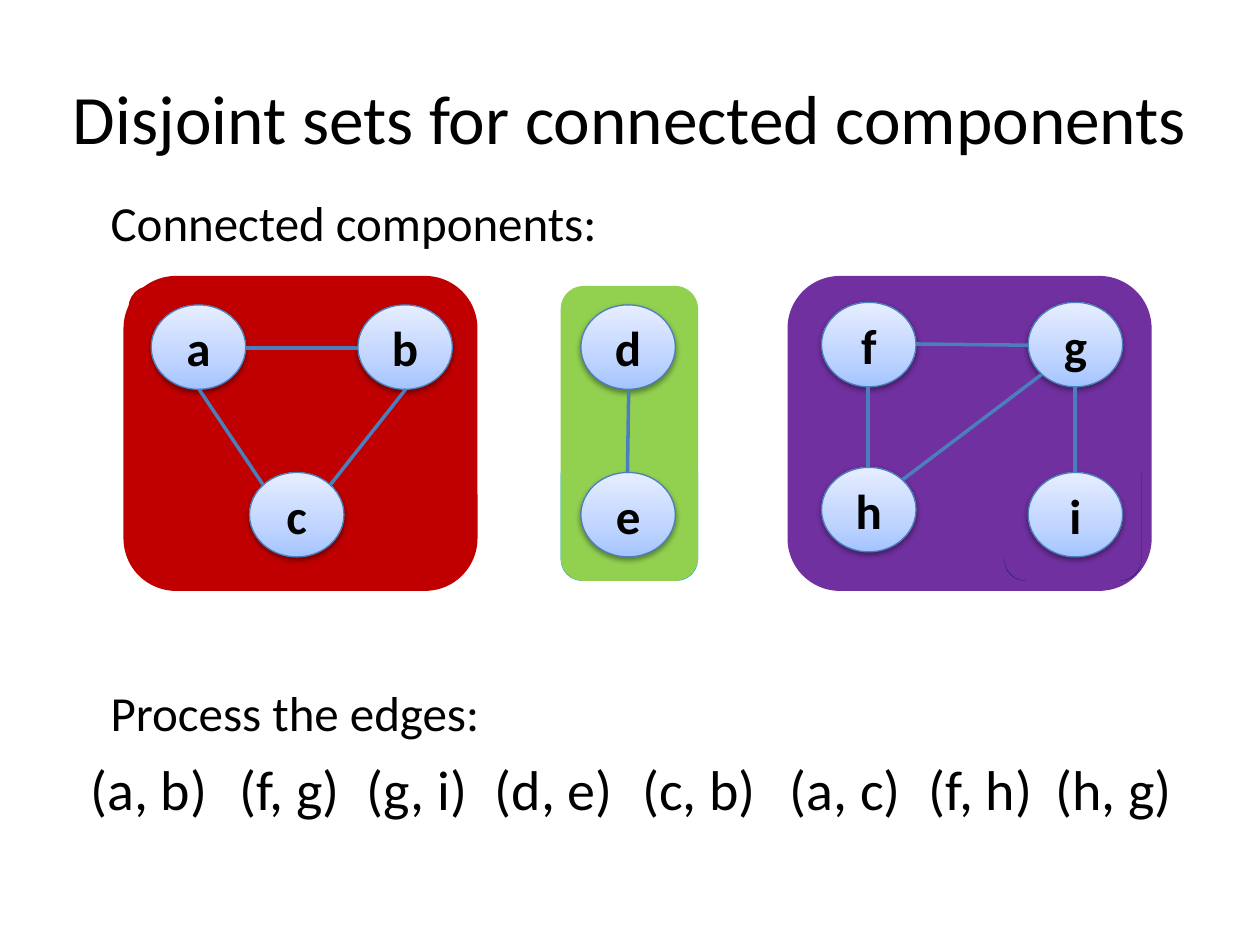
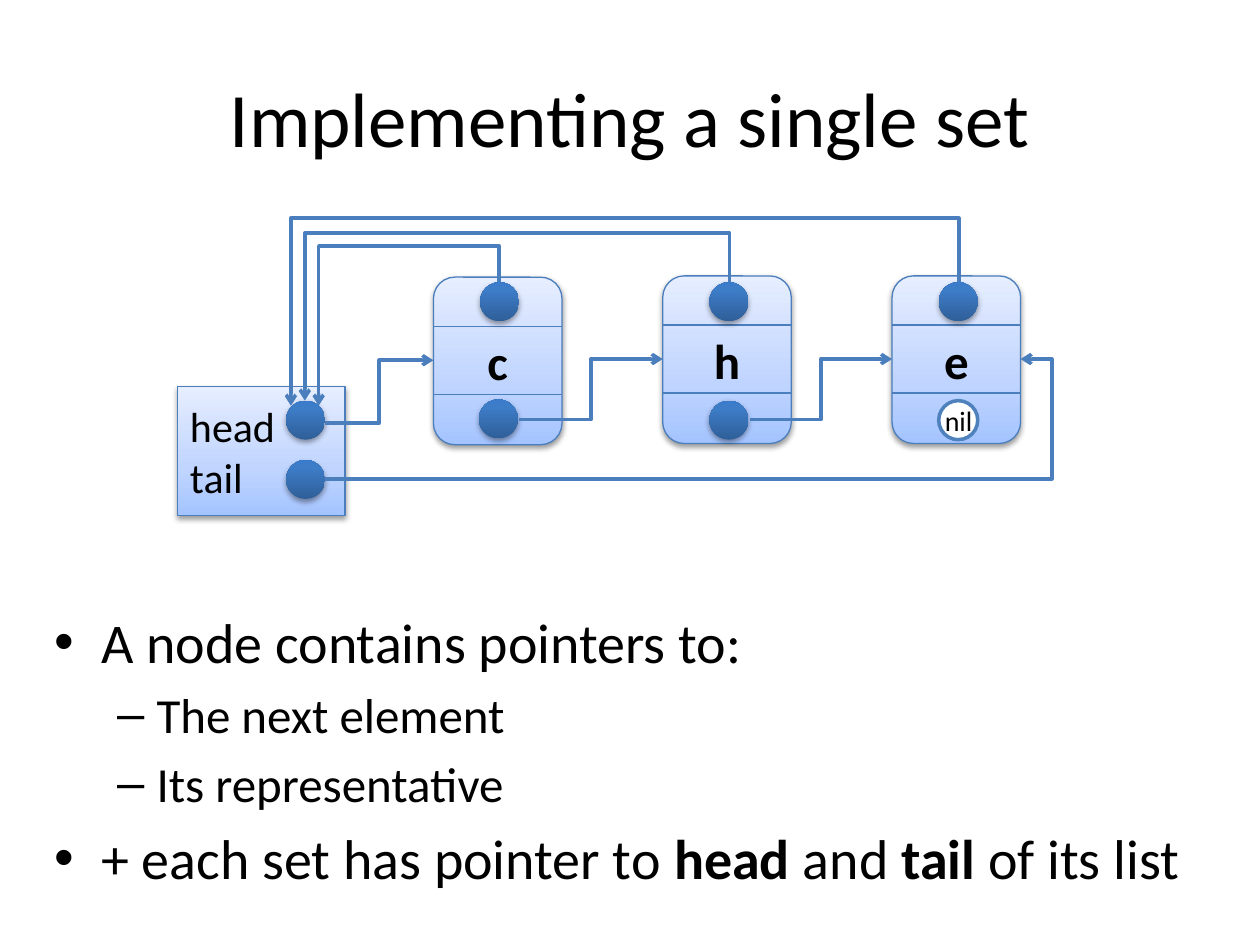
from copy import deepcopy

from pptx import Presentation
from pptx import util as u
from pptx.dml.color import RGBColor
from pptx.enum import shapes, text
from pptx.oxml import parse_xml
from pptx.oxml.ns import nsdecls, qn

FONT = "Calibri"
BLACK = "000000"
LINE = "4B7EBC"
RED, GREEN, PURPLE, CYAN, NAVY = "C00000", "92D050", "7030A0", "00B0F0", "002060"
PALE_BLUE = [(0, "A4C4FF"), (0.35, "BFD4FF"), (1, "E6EEFF")]
DEEP_BLUE = [(0, "2F5F99"), (0.8, "3D7CC7"), (1, "3A7CCB")]
SHAPE = shapes.MSO_SHAPE
CONNECTOR = shapes.MSO_CONNECTOR
CENTER = text.PP_ALIGN.CENTER
LEFT = text.PP_ALIGN.LEFT


def rgb(value):
    return RGBColor.from_string(value)


def inches(values):
    return [u.Inches(v) for v in values]


class Deck:
    def __init__(self):
        self.prs = Presentation()
        self.prs.slide_width, self.prs.slide_height = inches((10, 7.5))
        self.s = None

    def slide(self, layout, title, box, size):
        self.s = self.prs.slides.add_slide(self.prs.slide_layouts[layout])
        sp = self.s.shapes.title
        self.place(sp, box)
        self.set_text(sp.text_frame, title, size, CENTER)

    def place(self, sp, box):
        sp.left, sp.top, sp.width, sp.height = inches(box)

    def style(self, p, size, bold=None):
        p.font.name = FONT
        p.font.size = u.Pt(size)
        p.font.bold = bold
        p.font.color.rgb = rgb(BLACK)

    def set_text(self, tf, words, size, align=LEFT, bold=None):
        tf.text = words
        for p in tf.paragraphs:
            p.alignment = align
            self.style(p, size, bold)

    def bullets(self, box, items):
        sp = self.s.placeholders[1]
        self.place(sp, box)
        tf = sp.text_frame
        for i, (level, size, runs) in enumerate(items):
            p = tf.add_paragraph() if i else tf.paragraphs[0]
            p.level = level
            self.style(p, size)
            for words, bold in runs:
                r = p.add_run()
                r.text = words
                if bold:
                    r.font.bold = True

    def label(self, box, words, size):
        tf = self.s.shapes.add_textbox(*inches(box)).text_frame
        tf.word_wrap = True
        self.set_text(tf, words, size)

    def shape(self, kind, box, fill, line=None, width=0.75):
        sp = self.s.shapes.add_shape(kind, *inches(box))
        sp.shadow.inherit = False
        if isinstance(fill, list):
            self.gradient(sp, fill)
            self.shadow(sp)
        else:
            sp.fill.solid()
            sp.fill.fore_color.rgb = rgb(fill)
        if line:
            sp.line.color.rgb = rgb(line)
            sp.line.width = u.Pt(width)
        else:
            sp.line.fill.background()
        return sp

    def gradient(self, sp, colours):
        sp.fill.gradient()
        sp.fill.gradient_angle = 90
        gs = sp._element.spPr.find(".//" + qn("a:gs"))
        gs.addnext(deepcopy(gs))
        for stop, (position, colour) in zip(sp.fill.gradient_stops, colours):
            stop.position = position
            stop.color.rgb = rgb(colour)

    def shadow(self, sp):
        sp._element.spPr.find(qn("a:effectLst")).append(parse_xml(
            f'<a:outerShdw {nsdecls("a")} blurRad="40000" dist="20000" dir="5400000" '
            'rotWithShape="0"><a:srgbClr val="000000"><a:alpha val="38000"/>'
            '</a:srgbClr></a:outerShdw>'))

    def box(self, kind, box, words, size=28, align=CENTER, bold=True):
        sp = self.shape(kind, box, PALE_BLUE, LINE)
        tf = sp.text_frame
        tf.vertical_anchor = text.MSO_ANCHOR.MIDDLE
        self.set_text(tf, words, size, align, bold)

    def dot(self, x, y):
        self.shape(SHAPE.OVAL, (x, y, 0.31, 0.31), DEEP_BLUE)

    def line(self, start, end, width=2, kind=CONNECTOR.STRAIGHT):
        c = self.s.shapes.add_connector(kind, *inches((*start, *end)))
        c.line.color.rgb = rgb(LINE)
        c.line.width = u.Pt(width)
        c._element.spPr.append(parse_xml(f'<a:effectLst {nsdecls("a")}/>'))
        return c

    def elbow(self, start, end, bend, turned=False):
        (x1, y1), (x2, y2) = start, end
        if turned:
            cx, cy, dx, dy = (x1 + x2) / 2, (y1 + y2) / 2, x1 - x2, y2 - y1
            start = cx + dy / 2, cy + dx / 2
            end = cx - dy / 2, cy - dx / 2
            ratio = (bend - y1) / dy
        else:
            ratio = (bend - x1) / (x2 - x1)
        c = self.line(start, end, kind=CONNECTOR.ELBOW)
        spPr = c._element.spPr
        if turned:
            spPr.find(qn("a:xfrm")).set("rot", "16200000")
        spPr.find(qn("a:prstGeom")).get_or_add_avLst().append(parse_xml(
            f'<a:gd {nsdecls("a")} name="adj1" fmla="val {round(ratio * 100000)}"/>'))
        spPr.find(qn("a:ln")).append(parse_xml(f'<a:tailEnd {nsdecls("a")} type="arrow"/>'))


def components_slide(d):
    d.slide(5, "Disjoint sets for connected components", (0.39, 0.3, 9.22, 1.25), 39.6)
    for box, colour in [
        ((6.25, 2.19, 2.89, 2.5), PURPLE),
        ((4.45, 3.59, 1.09, 1.02), CYAN),
        ((4.45, 2.27, 1.09, 2.34), GREEN),
        ((7.97, 3.59, 1.09, 1.02), NAVY),
        ((7.97, 2.27, 1.09, 2.34), PURPLE),
        ((0.98, 2.19, 2.81, 2.5), RED),
        ((1.02, 2.27, 1.09, 1.02), RED),
    ]:
        d.shape(SHAPE.ROUNDED_RECTANGLE, box, colour)

    vertices = {
        "a": (1.2, 2.42), "b": (2.84, 2.42), "c": (1.98, 3.75),
        "d": (4.61, 2.42), "e": (4.61, 3.75),
        "f": (6.52, 2.4), "g": (8.16, 2.4), "h": (6.52, 3.71), "i": (8.16, 3.75),
    }
    for name, (x, y) in vertices.items():
        d.box(SHAPE.OVAL, (x, y, 0.75, 0.67), name)
    for start, end in [
        ((1.58, 3.09), (2.09, 3.85)),
        ((1.95, 2.76), (2.84, 2.76)),
        ((3.22, 3.09), (2.62, 3.85)),
        ((4.99, 3.09), (4.98, 3.75)),
        ((6.89, 3.07), (6.89, 3.71)),
        ((7.27, 2.73), (8.16, 2.74)),
        ((8.27, 2.97), (7.16, 3.81)),
        ((8.53, 3.07), (8.53, 3.75)),
    ]:
        d.line(start, end)

    d.label((0.78, 1.48, 4.69, 0.57), "Connected components:", 28)
    d.label((0.78, 5.37, 3.75, 0.57), "Process the edges:", 28)
    edges = ["(a, b)", "(f, g)", "(g, i)", "(d, e)", "(c, b)", "(a, c)", "(f, h)", "(h, g)"]
    lefts = [0.62, 1.8, 2.81, 3.83, 5, 6.17, 7.27, 8.28]
    for x, edge in zip(lefts, edges):
        d.label((x, 5.94, 1.17, 0.64), edge, 32)


def linked_list_slide(d):
    d.slide(1, "Implementing a single set", (0.5, 0.3, 9, 1.25), 44)
    d.bullets((0.33, 4.77, 9.42, 2.57), [
        (0, 32, [("A node contains pointers to:", False)]),
        (1, 28, [("The next element", False)]),
        (1, 28, [("Its representative", False)]),
        (0, 32, [("+ each set has pointer to ", False), ("head", True), (" and ", False),
                 ("tail", True), (" of its list", False)]),
    ])

    nodes = [("c", 3.44, 2.2), ("h", 5.26, 2.19), ("e", 7.08, 2.19)]
    for name, x, y in nodes:
        d.box(SHAPE.ROUNDED_RECTANGLE, (x, y, 1.02, 1.33), name)
        for offset in (0.39, 0.93):
            d.line((x, y + offset), (x + 1.02, y + offset), 0.75)
        d.dot(x + 0.37, 2.24)
    d.box(SHAPE.RECTANGLE, (1.41, 3.07, 1.33, 1.02), "head\ntail", 24, LEFT, None)
    for x, y in [(2.27, 3.18), (2.27, 3.65), (3.8, 3.17), (5.63, 3.18)]:
        d.dot(x, y)
    d.shape(SHAPE.OVAL, (7.45, 3.18, 0.31, 0.31), "FFFFFF", "4F81BD", 2)
    d.label((7.4, 3.15, 0.47, 0.37), "nil", 16)

    d.elbow((2.58, 3.8), (8.1, 2.85), 8.35)
    for start, end, bend in [
        ((7.61, 2.24), (2.31, 3.22), 1.73),
        ((5.79, 2.24), (2.42, 3.18), 1.85),
        ((3.96, 2.24), (2.53, 3.22), 1.95),
    ]:
        d.elbow(start, end, bend, turned=True)
    for start, end in [
        ((2.58, 3.36), (3.44, 2.86)),
        ((4.12, 3.33), (5.26, 2.85)),
        ((5.95, 3.33), (7.08, 2.85)),
    ]:
        d.elbow(start, end, (start[0] + end[0]) / 2)


def main():
    d = Deck()
    components_slide(d)
    linked_list_slide(d)
    d.prs.save("out.pptx")


if __name__ == "__main__":
    main()
